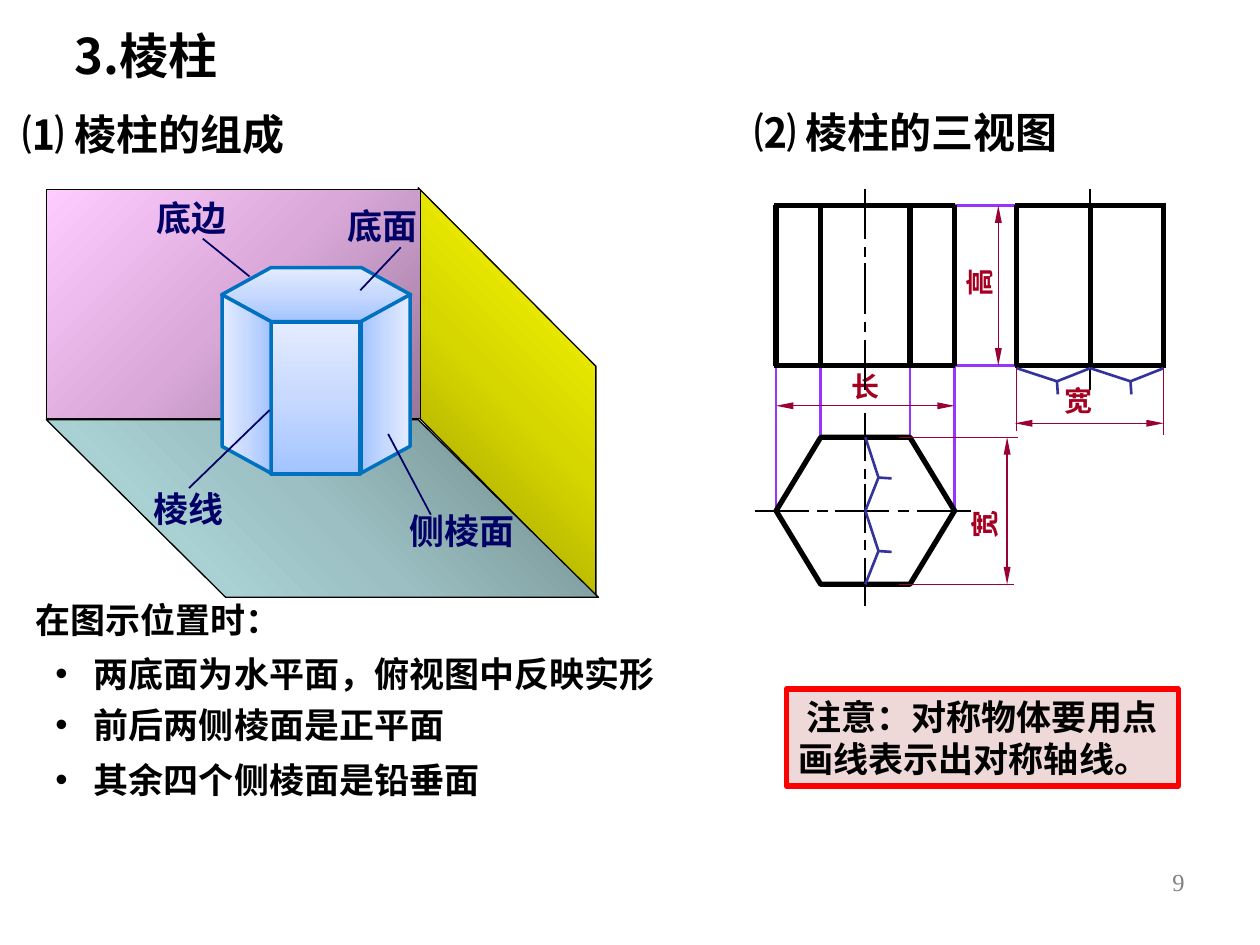
from collections import namedtuple
from copy import deepcopy

from lxml import etree
from pptx import Presentation
from pptx.dml.color import RGBColor
from pptx.enum import shapes as s, text as t
from pptx.oxml.ns import qn
from pptx.util import Pt

BLACK = RGBColor(0, 0, 0)
GRAY = RGBColor(0x80, 0x80, 0x80)
NAVY = RGBColor(0, 0, 0x66)
EDGE_BLUE = RGBColor(0, 0x70, 0xC0)
MARK_BLUE = RGBColor(0x33, 0x33, 0x99)
PURPLE = RGBColor(0x99, 0x33, 0xFF)
CRIMSON = RGBColor(0x99, 0, 0x33)
DARK_RED = RGBColor(0xA5, 0, 0x21)
RED = RGBColor(0xFF, 0, 0)
PINK = RGBColor(0xEE, 0xD8, 0xD8)
YELLOWS = [RGBColor.from_string(c) for c in ("979700", "D7D700", "FFFF00")]
TEALS = [RGBColor.from_string(c) for c in ("6D8688", "9BBFC2", "B8E3E6")]
MAUVES = [RGBColor.from_string(c) for c in ("997799", "DAA9DA", "FFCCFF")]
BLUES = [RGBColor.from_string(c) for c in ("A3C4FF", "C7D9FF", "E4ECFF")]
CJK = "Noto Sans CJK SC"

Box = namedtuple("Box", "left top width height")


def assign(target, values):
    """Set each attribute in values on target."""
    for key, value in values.items():
        setattr(target, key, value)


def inner(box, left, top, width, height):
    """Return a box placed relative to another box."""
    return Box(box.left + left, box.top + top, width, height)


def write(shape, words, size, color=BLACK, align=t.PP_ALIGN.LEFT,
          anchor=t.MSO_ANCHOR.TOP, wrap=True, font=CJK, bold=True):
    """Put one formatted paragraph in a shape and return it."""
    frame = shape.text_frame
    assign(frame, {"word_wrap": wrap, "vertical_anchor": anchor,
                   "margin_left": Pt(7.2), "margin_right": Pt(7.2),
                   "margin_top": Pt(3.6), "margin_bottom": Pt(3.6)})
    paragraph = frame.paragraphs[0]
    paragraph.alignment = align
    run = paragraph.add_run()
    run.text = words
    assign(run.font, {"size": Pt(size), "bold": bold, "name": font})
    run.font.color.rgb = color
    etree.SubElement(run._r.get_or_add_rPr(), qn("a:ea"), typeface=font)
    return paragraph


def label(slide, box, words, size, rotation=0, **style):
    """Add a text box holding one paragraph."""
    holder = slide.shapes.add_textbox(*map(Pt, box))
    holder.rotation = rotation
    return write(holder, words, size, **style)


def outline(shape, color, width):
    """Give a shape a plain line and no shadow."""
    shape.shadow.inherit = False
    shape.line.color.rgb = color
    shape.line.width = Pt(width)


def shade(shape, colors, angle):
    """Fill a shape with an evenly spaced three-colour gradient."""
    shape.fill.gradient()
    shape.fill.gradient_angle = angle
    stop_list = shape._element.spPr.find(".//" + qn("a:gsLst"))
    stop_list.append(deepcopy(stop_list[0]))
    for stop, position, color in zip(shape.fill.gradient_stops, (0, 0.5, 1), colors):
        stop.position = position
        stop.color.rgb = color


def preset(slide, kind, box, color, width):
    """Add an outlined preset shape."""
    shape = slide.shapes.add_shape(kind, *map(Pt, box))
    outline(shape, color, width)
    return shape


def line(slide, box, start, end, color, width, arrows=False):
    """Join two points of a box with a straight line."""
    ends = [Pt(v) for x, y in (start, end) for v in (box.left + x, box.top + y)]
    connector = slide.shapes.add_connector(s.MSO_CONNECTOR.STRAIGHT, *ends)
    connector.line.color.rgb = color
    connector.line.width = Pt(width)
    if arrows:
        for tip in ("a:headEnd", "a:tailEnd"):
            etree.SubElement(connector.line._get_or_add_ln(), qn(tip),
                             type="triangle", w="sm", len="lg")
    etree.SubElement(connector._element.spPr, qn("a:effectLst"))


def plane(slide, box, corners, colors, angle):
    """Draw one shaded projection plane through its corners."""
    points = [(Pt(box.left + x), Pt(box.top + y)) for x, y in corners]
    builder = slide.shapes.build_freeform(*points[0], scale=1.0)
    builder.add_line_segments(points[1:], close=True)
    shape = builder.convert_to_shape()
    outline(shape, BLACK, 0.75)
    shade(shape, colors, angle)


def prism(slide, box):
    """Draw the hexagonal prism from its top and three side faces."""
    kinds = s.MSO_SHAPE
    faces = [(kinds.HEXAGON, (0, 0, 108, 31), 0, 0.91),
             (kinds.RECTANGLE, (28, 31, 51, 87), 0, None),
             (kinds.PARALLELOGRAM, (-36.8, 52.5, 102, 28), 270, 0.548),
             (kinds.PARALLELOGRAM, (42.6, 52.5, 102, 28), 270, 0.548)]
    for kind, place, rotation, adjustment in faces:
        face = preset(slide, kind, inner(box, *place), EDGE_BLUE, 2)
        face.rotation = rotation
        if adjustment:
            face.adjustments[0] = adjustment
        shade(face, BLUES, 90)
    face._element.spPr.get_or_add_xfrm().set("flipV", "1")


def space_scene(slide, box):
    """Show the prism between three planes with its named parts."""
    w, h = box.width, box.height
    plane(slide, box, [(212.5, 131), (314, 233.5), (314, 102), (212.5, 0)], YELLOWS, 45)
    plane(slide, box, [(0, 132.5), (212.5, 132.5), (w, h), (102.5, h)], TEALS, 225)
    back_wall = preset(slide, s.MSO_SHAPE.RECTANGLE, inner(box, 0, 1, 214, 131), BLACK, 0.75)
    shade(back_wall, MAUVES, 135)
    prism(slide, inner(box, 100.2, 45.6, 108, 118))
    left, right = t.PP_ALIGN.LEFT, t.PP_ALIGN.RIGHT
    parts = [("侧棱面", (200.3, 180.3, 111.6), left, (219.7, 186.8), (195.3, 140.7)),
             ("底面", (165, 6, 84.2), left, (202.5, 34.1), (179.4, 58.6)),
             ("棱线", (54.1, 168, 84.2), left, (127.6, 127), (81.5, 171.6)),
             ("底边", (26.8, 1.7, 83.5), right, (89.4, 29.1), (116.1, 50.7))]
    for name, place, align, start, end in parts:
        label(slide, inner(box, *place, 31.5), name, 20, color=NAVY, align=align)
        line(slide, box, start, end, NAVY, 1)


def center_line(slide, box, start, end):
    """Draw a long-short-long axis between two points."""
    for limits in ((0, 0.25), (0.29, 0.34), (0.37, 0.62), (0.66, 0.71), (0.75, 1)):
        dash = [tuple(a + (b - a) * f for a, b in zip(start, end)) for f in limits]
        line(slide, box, *dash, BLACK, 1.2)


def equal_mark(slide, box, origin, upright):
    """Draw the bent mark that shows an equal half width."""
    bend = [(0, 0), (23, 7.5), (42, 0), (23.5, 15)]
    if upright:
        bend = [(across, along) for along, across in bend]
    start, apex, end, tick = [(origin[0] + x, origin[1] + y) for x, y in bend]
    for first, second in ((start, apex), (apex, end), (apex, tick)):
        line(slide, box, first, second, MARK_BLUE, 1.5)


def three_views(slide, box):
    """Draw front, side and top views with axes and dimensions."""
    length, height, depth = 102, 91.5, 84
    inset = length / 4
    side, side_end, top = 137.5, box.width, 132.5
    side_mid, middle, top_mid, bottom = side + depth / 2, length / 2, top + depth / 2, top + depth
    thin = [((side_end, height), (side_end, 131)), ((side, height), (side, 129)),
            ((70, top), (138.5, top)), ((70, bottom), (136, bottom))]
    projections = [((length, y), (side_end, y)) for y in (0, height)]
    projections += [((x, height), (x, top_mid)) for x in (0, length)]
    projections += [((x, height), (x, top)) for x in (inset, length - inset)]
    edges = [((x, 0), (x, height)) for x in
             (0, inset, length - inset, length, side, side_mid, side_end)]
    edges += [((a, y), (b, y)) for y in (0, height) for a, b in ((-1, length), (side - 1, side_end + 1))]
    for group, color, width in ((projections, PURPLE, 1.5), (thin[:2], CRIMSON, 0.75), (edges, BLACK, 3)):
        for ends in group:
            line(slide, box, *ends, color, width)
    hexagon = preset(slide, s.MSO_SHAPE.HEXAGON, inner(box, 0, top, length, depth), BLACK, 3)
    hexagon.fill.background()
    hexagon.adjustments[0] = inset / depth
    for ends in thin[2:]:
        line(slide, box, *ends, CRIMSON, 0.75)
    dimensions = [("长", (36, 90.5), 0, (0, 114.5), (length, 114.5)),
                  ("高", (101, 30.2), 270, (127, 0), (127, height)),
                  ("宽", (103.7, 168.5), 270, (132, top), (132, bottom)),
                  ("宽", (157.7, 98.5), 0, (side_end, 124.5), (side - 1, 124.5))]
    for name, place, rotation, start, end in dimensions:
        line(slide, box, start, end, CRIMSON, 0.75, arrows=True)
        label(slide, inner(box, *place, 31, 26.6), name, 16, rotation, color=DARK_RED, wrap=False)
    for x in (middle, side_mid):
        center_line(slide, box, (x, -9.5), (x, 105.7))
    center_line(slide, box, (-12.3, top_mid), (111.6, top_mid))
    center_line(slide, box, (middle, 118.7), (middle, 228.8))
    for half in (0, depth / 2):
        equal_mark(slide, box, (middle, top + half), True)
        equal_mark(slide, box, (side + half, height + 1.5), False)


def headings(slide, box):
    """Format the title and add the two section headings."""
    title = slide.shapes.title
    place = inner(box, 35.3, 10.8, 139.7, 41)
    assign(title, {key: Pt(value) for key, value in place._asdict().items()})
    write(title, "3.棱柱", 28)
    label(slide, inner(box, 5.8, 58.3, 255.6, 36), "⑴ 棱柱的组成", 24, anchor=t.MSO_ANCHOR.MIDDLE)
    label(slide, inner(box, 424, 57.6, 294.5, 36), "⑵ 棱柱的三视图", 24)


def position_notes(slide, box):
    """List what holds for the faces in the position shown."""
    label(slide, inner(box, 0, 0, 153.4, 31.7), "在图示位置时：", 20, anchor=t.MSO_ANCHOR.MIDDLE)
    facts = [(" 两底面为水平面，俯视图中反映实形", 31),
             (" 前后两侧棱面是正平面", 59.8),
             (" 其余四个侧棱面是铅垂面", 91.4)]
    for fact, top in facts:
        place = inner(box, 11.5, top, 20 * len(fact) + 30, 31.7)
        paragraph = label(slide, place, fact, 20)
        properties = paragraph._p.get_or_add_pPr()
        properties.set("marL", str(Pt(17.5)))
        properties.set("indent", str(-Pt(17.5)))
        etree.SubElement(properties, qn("a:buFont"), typeface="Arial")
        etree.SubElement(properties, qn("a:buChar"), char="•")


def reminder(slide, box):
    """Add the framed reminder about symmetry axes."""
    frame = preset(slide, s.MSO_SHAPE.RECTANGLE, box, RED, 3)
    frame.fill.solid()
    frame.fill.fore_color.rgb = PINK
    write(frame, " 注意：对称物体要用点画线表示出对称轴线。", 20, anchor=t.MSO_ANCHOR.MIDDLE)


def main():
    """Build and save the slide."""
    deck = Presentation()
    assign(deck, {"slide_width": Pt(720), "slide_height": Pt(540)})
    slide = deck.slides.add_slide(deck.slide_layouts[5])
    headings(slide, Box(0, 0, 720, 94))
    space_scene(slide, Box(26.5, 107.3, 315.5, 234))
    three_views(slide, Box(443.5, 117.4, 221.5, 216.5))
    position_notes(slide, Box(13, 338.4, 370, 123))
    reminder(slide, Box(449.3, 393.8, 224, 55.4))
    label(slide, Box(516.2, 491.8, 167.8, 37.4), "9", 14, color=GRAY,
          align=t.PP_ALIGN.RIGHT, font="Times New Roman", bold=False)
    deck.save("out.pptx")


if __name__ == "__main__":
    main()
